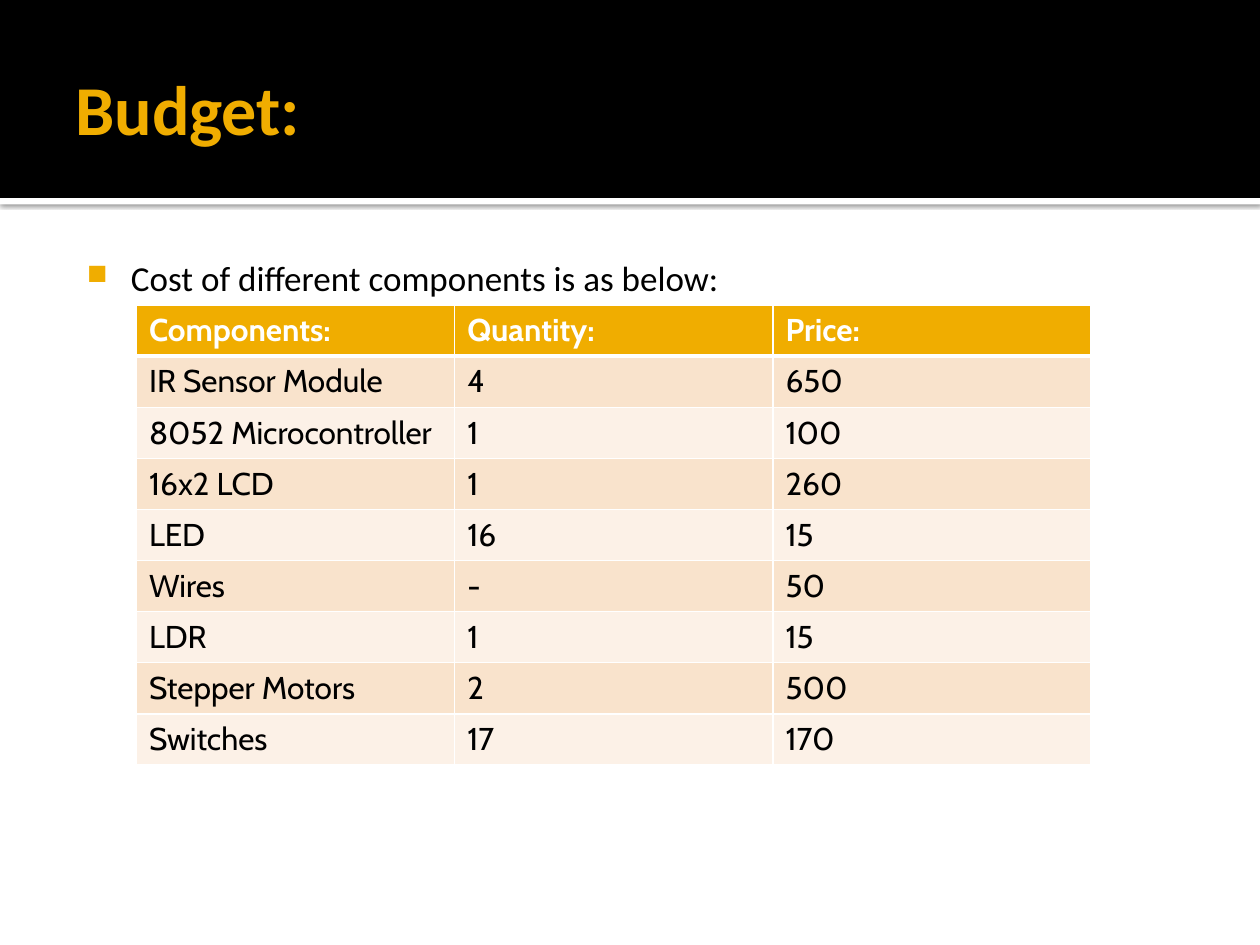
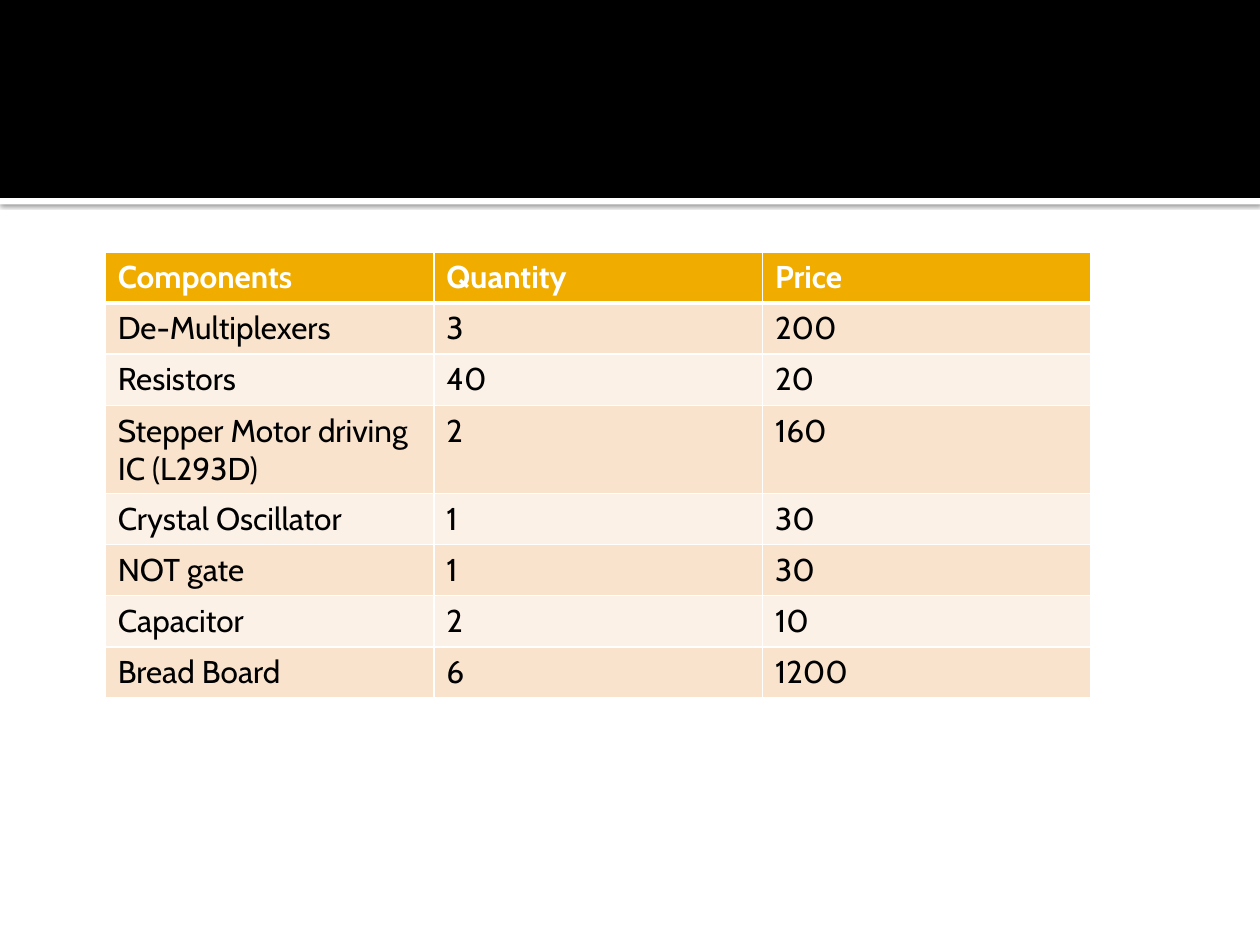
import pptx
import pptx.util
import pptx.dml.color
import pptx.enum.shapes
import pptx.enum.text
import pptx.oxml
import pptx.oxml.ns
from lxml import etree

Cm = pptx.util.Cm
Pt = pptx.util.Pt
RGBColor = pptx.dml.color.RGBColor

BLACK = RGBColor(0x00, 0x00, 0x00)
WHITE = RGBColor(0xFF, 0xFF, 0xFF)
GOLD = RGBColor(0xF0, 0xAD, 0x00)
BAND_DARK = RGBColor(0xF9, 0xE3, 0xCC)
BAND_LIGHT = RGBColor(0xFC, 0xF1, 0xE7)

HEADING_FONT = "Calibri"
TABLE_FONT = "Cabin"

SLIDE_WIDTH, SLIDE_HEIGHT = Cm(25.4), Cm(19.05)
BAND_HEIGHT, RULE_HEIGHT = Cm(3.99), Cm(0.13)
ROW_HEIGHT = Cm(1.03)

BUDGET_ROWS = [
    ("Components:", "Quantity:", "Price:"),
    ("IR Sensor Module", "4", "650"),
    ("8052 Microcontroller", "1", "100"),
    ("16x2 LCD", "1", "260"),
    ("LED", "16", "15"),
    ("Wires", "-", "50"),
    ("LDR", "1", "15"),
    ("Stepper Motors", "2", "500"),
    ("Switches", "17", "170"),
]
MORE_ROWS = [
    ("Components", "Quantity", "Price"),
    ("De-Multiplexers", "3", "200"),
    ("Resistors", "40", "20"),
    ("Stepper Motor driving IC (L293D)", "2", "160"),
    ("Crystal Oscillator", "1", "30"),
    ("NOT gate", "1", "30"),
    ("Capacitor", "2", "10"),
    ("Bread Board", "6", "1200"),
]


def add_element(parent, tag, **attributes):
    element = etree.SubElement(parent, pptx.oxml.ns.qn(tag))
    for name, value in attributes.items():
        element.set(name, str(value))
    return element


def write_text(text_frame, text, font=HEADING_FONT, size=20, color=BLACK, bold=False):
    paragraph = text_frame.paragraphs[0]
    run = paragraph.add_run()
    run.text = text
    run.font.name = font
    run.font.size = Pt(size)
    run.font.bold = bold
    run.font.color.rgb = color
    return paragraph


def add_text_box(slide, box, insets, anchor):
    text_frame = slide.shapes.add_textbox(*box).text_frame
    text_frame.word_wrap = True
    text_frame.vertical_anchor = anchor
    (text_frame.margin_left, text_frame.margin_top,
     text_frame.margin_right, text_frame.margin_bottom) = [Cm(inset) for inset in insets]
    return text_frame


def add_rectangle(slide, box, color):
    shape = slide.shapes.add_shape(pptx.enum.shapes.MSO_SHAPE.RECTANGLE, *box)
    shape.shadow.inherit = False
    shape.fill.solid()
    shape.fill.fore_color.rgb = color
    shape.line.fill.background()
    return shape


def add_header_band(slide, left, top, width):
    # White rule with a soft shadow below the black band
    rule = add_rectangle(slide, (left, top + BAND_HEIGHT, width, RULE_HEIGHT), WHITE)
    effects = rule._element.spPr.find(pptx.oxml.ns.qn("a:effectLst"))
    shadow = add_element(effects, "a:outerShdw", blurRad=Pt(2.5), dist=Pt(0.8),
                         dir=90 * 60000, algn="tl", rotWithShape=0)
    shadow_color = add_element(shadow, "a:srgbClr", val=BLACK)
    add_element(shadow_color, "a:alpha", val=60000)
    add_rectangle(slide, (left, top, width, BAND_HEIGHT), BLACK)


def add_title(slide, box, text):
    text_frame = add_text_box(slide, box, (0.25, 0.13, 0.13, 0.13),
                              pptx.enum.text.MSO_ANCHOR.MIDDLE)
    write_text(text_frame, text, size=40, color=GOLD, bold=True)


def add_bullet(slide, box, text):
    text_frame = add_text_box(slide, box, (0.15, 0.25, 0.25, 0.13),
                              pptx.enum.text.MSO_ANCHOR.TOP)
    paragraph = write_text(text_frame, text)
    properties = paragraph._p.get_or_add_pPr()
    properties.set("marL", str(Cm(1.22)))
    properties.set("indent", str(-Cm(0.89)))
    bullet_color = add_element(properties, "a:buClr")
    add_element(bullet_color, "a:srgbClr", val=GOLD)
    add_element(properties, "a:buSzPct", val=80000)
    add_element(properties, "a:buChar", char="■")


def set_cell_borders(cell, top, bottom):
    properties = cell._tc.get_or_add_tcPr()
    for side, width in (("L", 1), ("R", 1), ("T", top), ("B", bottom)):
        line = add_element(properties, "a:ln" + side, w=Pt(width))
        fill = add_element(line, "a:solidFill")
        add_element(fill, "a:srgbClr", val=WHITE)


def add_cost_table(slide, left, top, width, rows):
    columns = len(rows[0])
    table = slide.shapes.add_table(len(rows), columns, left, top, width,
                                   ROW_HEIGHT * len(rows)).table
    for column in table.columns:
        column.width = width // columns
    for row_index, values in enumerate(rows):
        is_header = row_index == 0
        if is_header:
            fill_color = GOLD
        else:
            fill_color = BAND_DARK if row_index % 2 else BAND_LIGHT
        for column_index, value in enumerate(values):
            cell = table.cell(row_index, column_index)
            # Thick line between the header and the first row
            set_cell_borders(cell, top=3 if row_index == 1 else 1,
                             bottom=3 if is_header else 1)
            cell.fill.solid()
            cell.fill.fore_color.rgb = fill_color
            write_text(cell.text_frame, value, font=TABLE_FONT, size=18,
                       color=WHITE if is_header else BLACK, bold=is_header)


def add_base_slide(presentation):
    slide = presentation.slides.add_slide(presentation.slide_layouts[6])
    slide.background.fill.solid()
    slide.background.fill.fore_color.rgb = WHITE
    add_header_band(slide, 0, 0, SLIDE_WIDTH)
    return slide


presentation = pptx.Presentation()
presentation.slide_width = SLIDE_WIDTH
presentation.slide_height = SLIDE_HEIGHT

# Budget with title and introduction
slide = add_base_slide(presentation)
add_title(slide, (Cm(1.27), Cm(0.43), Cm(22.86), Cm(3.48)), "Budget:")
add_bullet(slide, (Cm(1.27), Cm(4.93), Cm(22.86), Cm(12.85)),
           "Cost of different components is as below:")
add_cost_table(slide, Cm(2.75), Cm(6.15), Cm(19.25), BUDGET_ROWS)

# Budget, continued
slide = add_base_slide(presentation)
add_cost_table(slide, Cm(2.12), Cm(5.08), Cm(19.88), MORE_ROWS)

presentation.save("out.pptx")
